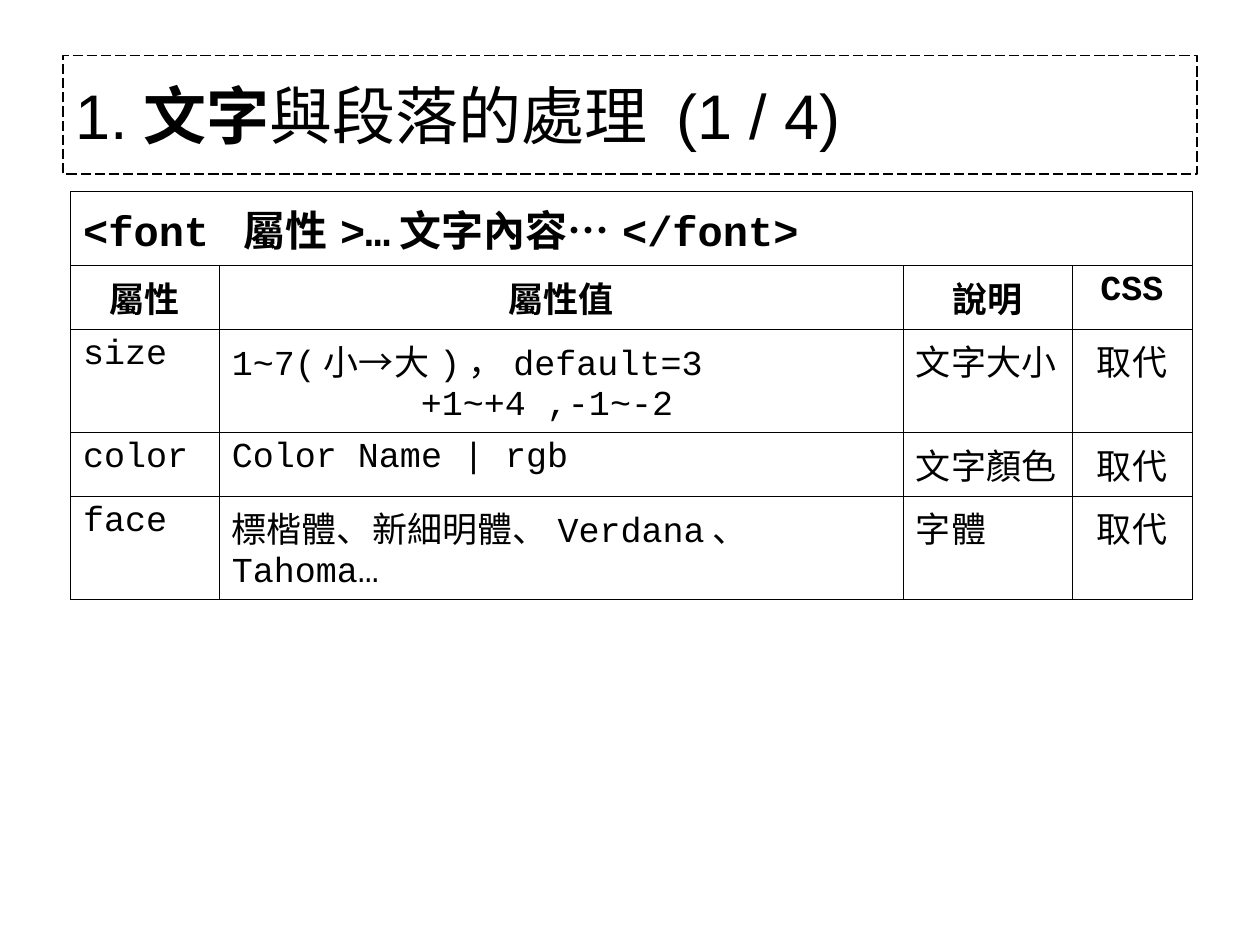
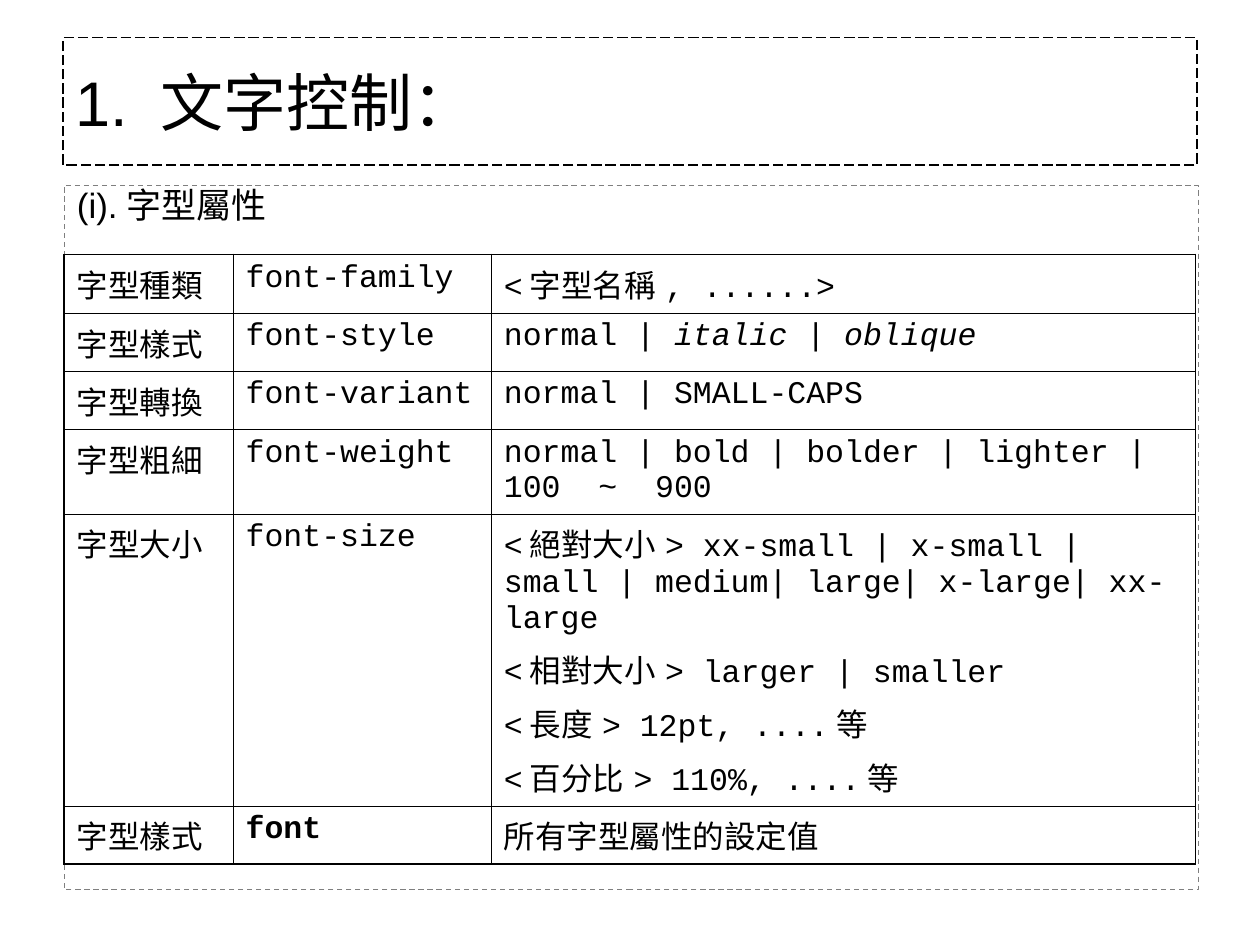
from pptx import Presentation
from pptx.dml.color import RGBColor
from pptx.enum.dml import MSO_LINE as Dash
from pptx.enum.text import MSO_ANCHOR as Anchor, MSO_AUTO_SIZE as Fit, PP_ALIGN as Align
from pptx.oxml.ns import qn
from pptx.util import Inches, Pt
from lxml.etree import SubElement as Sub

BLACK = RGBColor(0, 0, 0)
GRAY = RGBColor(0x7F, 0x7F, 0x7F)
SANS, MONO = "Arial", "Courier New"
THIN, THICK = 0.45, 1.08
BOLD, ITAL = "b", "i"

# Content: a run is (text, style), a cell is a list of paragraphs
TAG_TITLE = [("1.", ""), ("文字", BOLD), ("與段落的處理 (1 / 4)", "")]
TAG = "<font 屬性>…文字內容…</font>"
HEADS = ["屬性", "屬性值", "說明", "CSS"]
ATTRS = [
    ["size", ["1~7(小→大)，default=3", "+1~+4 ,-1~-2"], "文字大小", "取代"],
    ["color", "Color Name | rgb", "文字顏色", "取代"],
    ["face", "標楷體、新細明體、Verdana、Tahoma…", "字體", "取代"],
]
TAG_COLS = [1.18, 5.43, 1.34, 0.95]
TAG_ROWS = [0.58, 0.5, 0.82, 0.5, 0.82]

CSS_TITLE = [("1. 文字控制：", "")]
CSS_LEAD = "(i).字型屬性"
PROPS = [
    ["字型種類", "font-family", "<字型名稱, ......>"],
    ["字型樣式", "font-style",
     [[("normal | ", ""), ("italic", ITAL), (" | ", ""), ("oblique", ITAL)]]],
    ["字型轉換", "font-variant", "normal | SMALL-CAPS"],
    ["字型粗細", "font-weight", "normal | bold | bolder | lighter | 100  ~  900"],
    ["字型大小", "font-size",
     ["<絕對大小> xx-small | x-small | small | medium| large| x-large| xx-large",
      "<相對大小> larger | smaller",
      "<長度> 12pt, ....等",
      "<百分比> 110%, ....等"]],
    ["字型樣式", [[("font", BOLD)]], "所有字型屬性的設定值"],
]
CSS_COLS = [1.34, 2.05, 5.59]
CSS_ROWS = [0.46, 0.46, 0.46, 0.67, 2.31, 0.46]


# Text
def write(para, runs, size, face, style=""):
    if isinstance(runs, str):
        runs = [(runs, style)]
    for text, look in runs:
        run = para.add_run()
        run.text = text
        font = run.font
        font.size, font.name = Pt(size), face
        font.bold, font.italic = look == BOLD, look == ITAL
        font.color.rgb = BLACK


def fill_cell(cell, paras, size, style="", align=Align.LEFT, gap=0):
    if isinstance(paras, str):
        paras = [paras]
    frame = cell.text_frame
    for i, runs in enumerate(paras):
        para = frame.add_paragraph() if i else frame.paragraphs[0]
        para.alignment = align
        if i:
            para.space_before = Pt(gap)
        write(para, runs, size, MONO, style)


# Shared parts
def frame_box(shape, spot, color, dash):
    shape.left, shape.top, shape.width, shape.height = map(Inches, spot)
    shape.line.color.rgb = color
    shape.line.width = Pt(0.75)
    shape.line.dash_style = dash
    shape.text_frame.auto_size = Fit.NONE
    return shape.text_frame


def add_page(deck, layout, runs, top, tall):
    page = deck.slides.add_slide(deck.slide_layouts[layout])
    frame = frame_box(page.shapes.title, (0.5, top, 9, tall), BLACK, Dash.LONG_DASH)
    frame.vertical_anchor = Anchor.MIDDLE
    para = frame.paragraphs[0]
    para.alignment = Align.LEFT
    write(para, runs, 36, SANS)
    return page


def add_grid(page, left, top, cols, rows, edge):
    spot = map(Inches, (left, top, sum(cols), sum(rows)))
    grid = page.shapes.add_table(len(rows), len(cols), *spot).table
    grid.first_row = grid.horz_banding = False
    for col, wide in zip(grid.columns, cols):
        col.width = Inches(wide)
    for row, tall in zip(grid.rows, rows):
        row.height = Inches(tall)
    for r in range(len(rows)):
        for c in range(len(cols)):
            outer = {"L": c == 0, "R": c == len(cols) - 1,
                     "T": r == 0, "B": r == len(rows) - 1}
            cell = grid.cell(r, c)
            props = cell._tc.get_or_add_tcPr()
            for side, out in outer.items():
                line = Sub(props, qn("a:ln" + side),
                           w=str(Pt(edge if out else THIN)))
                Sub(Sub(line, qn("a:solidFill")), qn("a:srgbClr"), val=str(BLACK))
            cell.fill.background()
    return grid


# Slide 1: the font tag
def tag_page(deck):
    page = add_page(deck, 5, TAG_TITLE, 0.44, 0.94)
    grid = add_grid(page, 0.56, 1.52, TAG_COLS, TAG_ROWS, THIN)
    grid.cell(0, 0).merge(grid.cell(0, len(TAG_COLS) - 1))
    fill_cell(grid.cell(0, 0), TAG, 24, BOLD)
    for c, head in enumerate(HEADS):
        fill_cell(grid.cell(1, c), head, 20, BOLD, Align.CENTER)
    last = len(HEADS) - 1
    for r, row in enumerate(ATTRS, 2):
        for c, text in enumerate(row):
            align = Align.CENTER if c == last else Align.LEFT
            fill_cell(grid.cell(r, c), text, 20, align=align)
    # Second line of the size values is set in
    para = grid.cell(2, 1).text_frame.paragraphs[1]
    para._p.get_or_add_pPr().set("marL", str(Inches(1.5)))


# Slide 2: font properties
def css_page(deck):
    page = add_page(deck, 1, CSS_TITLE, 0.3, 1.01)
    frame = frame_box(page.placeholders[1], (0.51, 1.47, 9, 5.59), GRAY, Dash.DASH)
    para = frame.paragraphs[0]
    para.line_spacing = 0.8
    para.space_before = Pt(0)
    props = para._p.get_or_add_pPr()
    props.set("marL", str(Inches(0.38)))
    props.set("indent", str(-Inches(0.38)))
    Sub(props, qn("a:buNone"))
    write(para, CSS_LEAD, 20, SANS)
    grid = add_grid(page, 0.51, 2.02, CSS_COLS, CSS_ROWS, THICK)
    for r, row in enumerate(PROPS):
        for c, text in enumerate(row):
            fill_cell(grid.cell(r, c), text, 18, gap=4.5)


def main():
    deck = Presentation()
    deck.slide_width, deck.slide_height = Inches(10), Inches(7.5)
    tag_page(deck)
    css_page(deck)
    deck.save("out.pptx")


if __name__ == "__main__":
    main()
